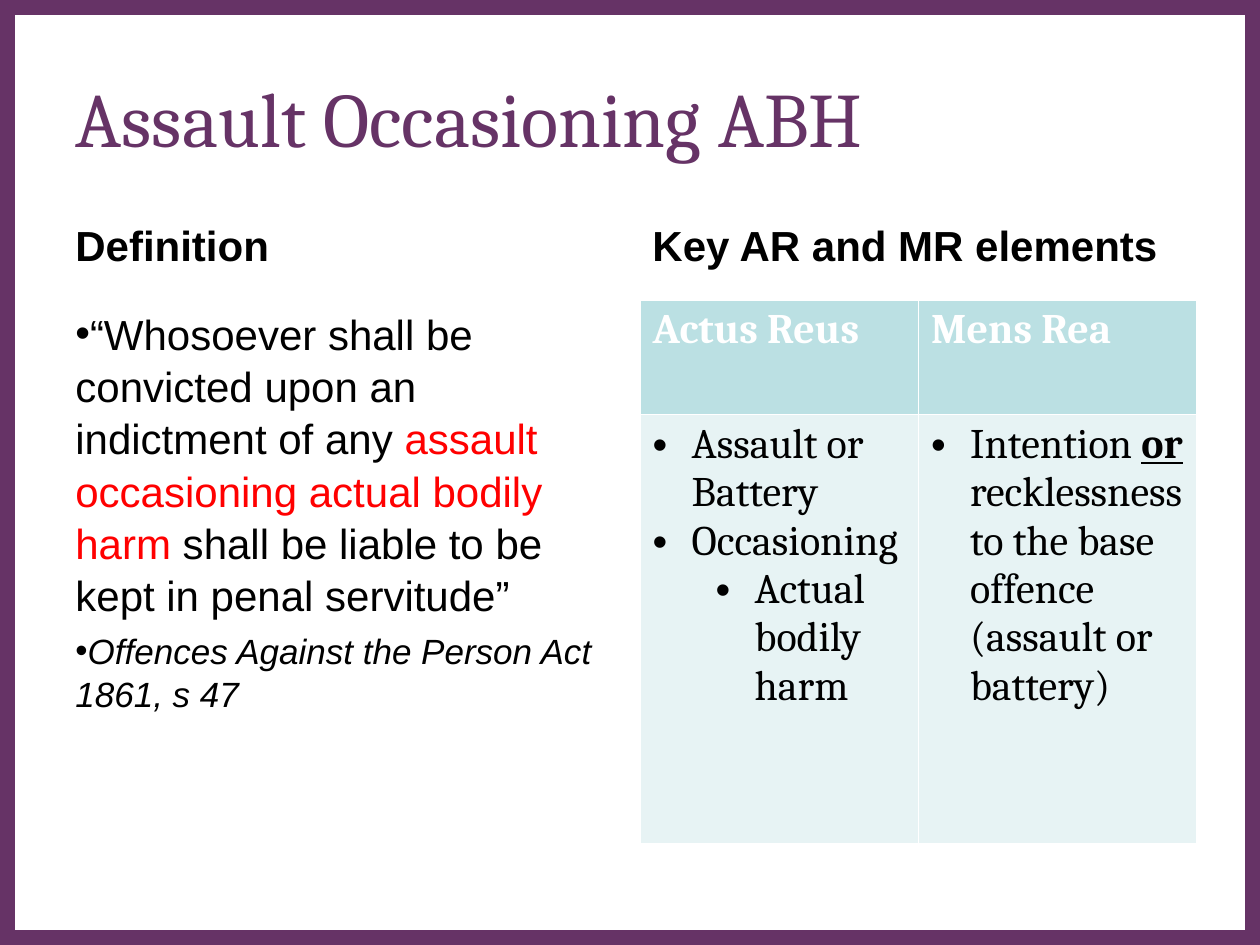
from pptx import Presentation
from pptx.dml.color import RGBColor
from pptx.enum.shapes import MSO_SHAPE as Shape
from pptx.enum.text import MSO_ANCHOR as Anchor, PP_ALIGN as Align
from pptx.oxml.ns import qn
from pptx.util import Inches, Pt
from lxml.etree import SubElement

# Content: a paragraph is a dict of its runs and format; a run is (text, format)
PURPLE, RED, BLACK, WHITE = "663366", "FF0000", "000000", "FFFFFF"
TITLE = "Assault Occasioning ABH"
HEADINGS = ["Definition", "Key AR and MR elements"]
DEFINITION = [
    dict(runs=[("“Whosoever shall be convicted upon an indictment of any ", {}),
               ("assault occasioning actual bodily harm ", {"color": RED}),
               ("shall be liable to be kept in penal servitude”", {})]),
    dict(runs=[("Offences Against the Person Act 1861, s 47",
                {"size": 20, "italic": True})], before=4),
]
ELEMENTS = {
    "Actus Reus": [
        dict(runs=[("Assault or Battery", {})], indent=0.31),
        dict(runs=[("Occasioning", {})], indent=0.31),
        dict(runs=[("Actual bodily harm", {})], indent=0.81, level=1),
    ],
    "Mens Rea": [
        dict(runs=[("Intention ", {}),
                   ("or ", {"bold": True, "underline": True}),
                   ("recklessness to the base offence (assault or battery)", {})],
             indent=0.31),
    ],
}

# Grid in inches
WIDTH, HEIGHT, BORDER = 10, 7.5, 0.12
MARGIN, COLUMN = 0.5, 4.42
LEFTS = [MARGIN, WIDTH - MARGIN - COLUMN]
HEADING_TOP, BODY_TOP, BODY_BOTTOM = 1.68, 2.38, 6.7
HEADER_ROW = 0.91
HANGING = 0.31


def rgb(value):
    return RGBColor.from_string(value)


def write(frame, paragraphs, font="Arial", size=24, color=BLACK, bold=False,
          bullet=False, spacing=None):
    frame.word_wrap = True
    for number, content in enumerate(paragraphs):
        para = frame.paragraphs[0] if number == 0 else frame.add_paragraph()
        para.alignment = Align.LEFT
        para.level = content.get("level", 0)
        para.line_spacing = spacing
        para.space_before = Pt(content.get("before", 0))
        if bullet:
            indent = content.get("indent", 0)
            props = para._p.get_or_add_pPr()
            props.set("marL", str(Inches(indent)))
            props.set("indent", str(-Inches(HANGING) if indent else 0))
            SubElement(props, qn("a:buFont")).set("typeface", "Arial")
            SubElement(props, qn("a:buChar")).set("char", "•")
        for text, style in content["runs"]:
            run = para.add_run()
            run.text = text
            run.font.name = font
            run.font.size = Pt(style.get("size", size))
            run.font.color.rgb = rgb(style.get("color", color))
            run.font.bold = style.get("bold", bold)
            run.font.italic = style.get("italic", False)
            run.font.underline = style.get("underline", False)


def plain(text):
    return [dict(runs=[(text, {})])]


def add_panel(inset, color):
    panel = slide.shapes.add_shape(
        Shape.RECTANGLE, Inches(inset), Inches(inset),
        Inches(WIDTH - 2 * inset), Inches(HEIGHT - 2 * inset))
    panel.shadow.inherit = False
    panel.fill.solid()
    panel.fill.fore_color.rgb = rgb(color)
    panel.line.fill.background()


def add_text(left, top, bottom, paragraphs, **style):
    box = slide.shapes.add_textbox(Inches(left), Inches(top),
                                   Inches(COLUMN), Inches(bottom - top))
    write(box.text_frame, paragraphs, **style)


deck = Presentation()
deck.slide_width, deck.slide_height = Inches(WIDTH), Inches(HEIGHT)
slide = deck.slides.add_slide(deck.slide_layouts[5])

# Purple frame around a white page
add_panel(0, PURPLE)
add_panel(BORDER, WHITE)

# Title, brought in front of the frame
title = slide.shapes.title
slide.shapes._spTree.append(title._element)
title.left, title.top = Inches(MARGIN), Inches(0.3)
title.width, title.height = Inches(WIDTH - 2 * MARGIN), Inches(1.25)
title.text_frame.vertical_anchor = Anchor.MIDDLE
write(title.text_frame, plain(TITLE), font="Cambria", size=44, color=PURPLE)

# Column headings and definition
for left, heading in zip(LEFTS, HEADINGS):
    add_text(left, HEADING_TOP, BODY_TOP, plain(heading), bold=True, spacing=1.04)
add_text(LEFTS[0], BODY_TOP, BODY_BOTTOM, DEFINITION, bullet=True, spacing=1.04)

# Table of elements
table = slide.shapes.add_table(
    2, len(ELEMENTS), Inches(LEFTS[1]), Inches(BODY_TOP),
    Inches(COLUMN), Inches(BODY_BOTTOM - BODY_TOP)).table
table.rows[0].height = Inches(HEADER_ROW)
table.rows[1].height = Inches(BODY_BOTTOM - BODY_TOP - HEADER_ROW)
for column, (heading, points) in enumerate(ELEMENTS.items()):
    rows = [(plain(heading), "BBE0E3", dict(color=WHITE, bold=True)),
            (points, "E7F3F4", dict(bullet=True))]
    for row, (paragraphs, fill, style) in enumerate(rows):
        cell = table.cell(row, column)
        cell.fill.solid()
        cell.fill.fore_color.rgb = rgb(fill)
        write(cell.text_frame, paragraphs, font="Cambria", **style)

deck.save("out.pptx")
